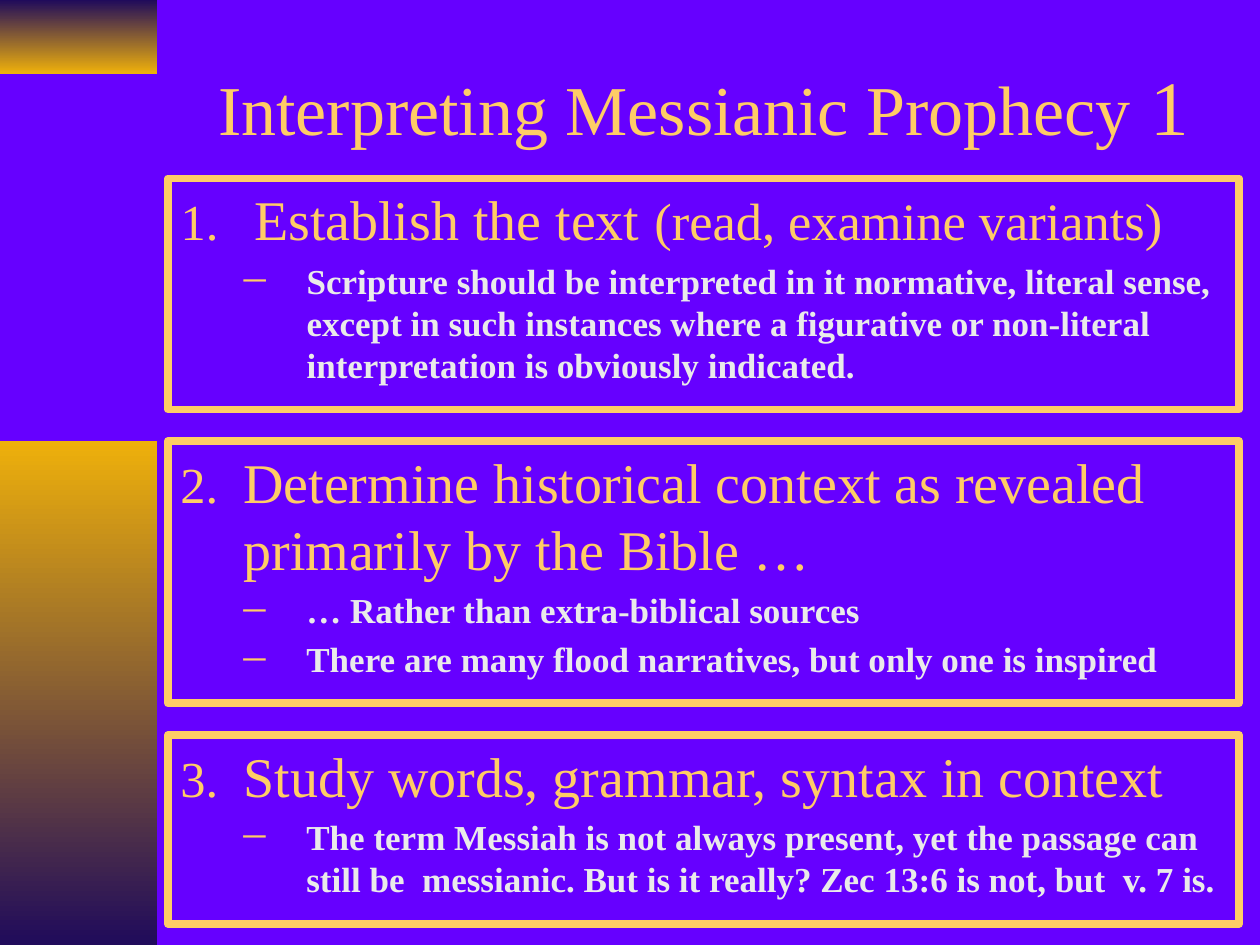
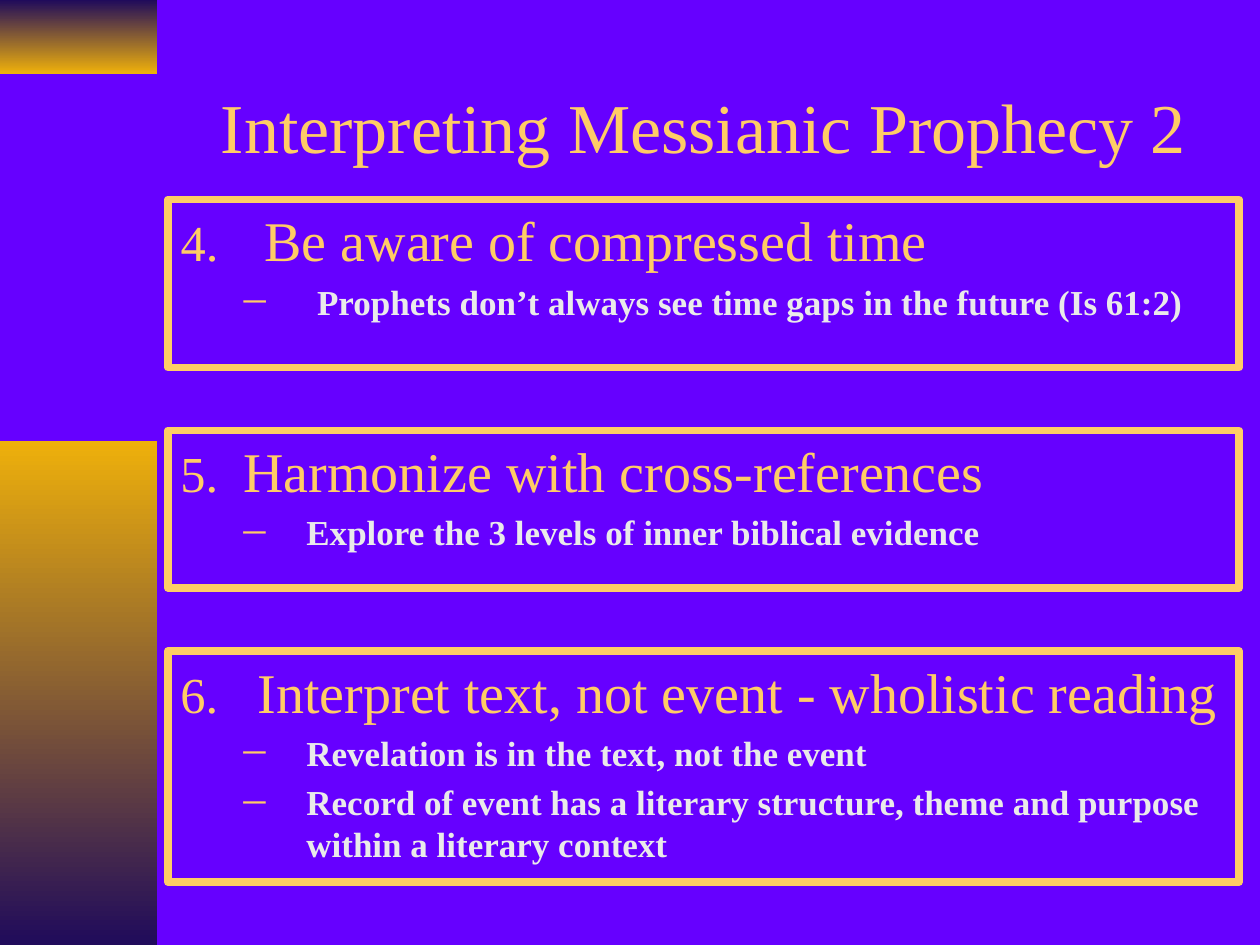
from lxml.etree import SubElement
from pptx import Presentation
from pptx.dml.color import RGBColor
from pptx.enum.shapes import MSO_SHAPE
from pptx.enum.text import MSO_ANCHOR, MSO_AUTO_SIZE, PP_ALIGN
from pptx.oxml.ns import qn
from pptx.util import Emu, Pt

PURPLE = RGBColor(0x66, 0x00, 0xFF)
GOLD = RGBColor(0xFF, 0xCC, 0x66)
AMBER = RGBColor(0xEE, 0xB0, 0x0B)
NAVY = RGBColor(0x20, 0x0B, 0x5B)
PALE = RGBColor(0xEA, 0xEA, 0xEA)

FONT = "Times New Roman"
DASH = "─"
EMU_PER_PX = 9525
LEFT, WIDTH = 128, 816
POINT_SIZE, DETAIL_SIZE = 32, 20


def px(length):
    return Emu(length * EMU_PER_PX)


def place(shape, left, top, width, height):
    shape.left, shape.top = px(left), px(top)
    shape.width, shape.height = px(width), px(height)


class Deck:
    def __init__(self):
        self.presentation = Presentation()
        self.presentation.slide_width = px(960)
        self.presentation.slide_height = px(720)
        background = self.presentation.slide_master.background.fill
        background.solid()
        background.fore_color.rgb = PURPLE
        self.slide = None

    def add_slide(self):
        layout = self.presentation.slide_layouts.get_by_name("Title and Content")
        self.slide = self.presentation.slides.add_slide(layout)
        for placeholder in list(self.slide.placeholders):
            if placeholder.placeholder_format.idx > 1:
                placeholder.element.getparent().remove(placeholder.element)
        self.add_band(0, 56, NAVY, AMBER)
        self.add_band(336, 384, AMBER, NAVY)

    def add_band(self, top, height, top_color, bottom_color):
        band = self.slide.shapes.add_shape(
            MSO_SHAPE.RECTANGLE, px(0), px(top), px(120), px(height))
        band.shadow.inherit = False
        band.line.fill.background()
        band.fill.gradient()
        band.fill.gradient_angle = 270
        for stop, color, position in zip(
                band.fill.gradient_stops, (top_color, bottom_color), (0, 1)):
            stop.color.rgb = color
            stop.position = position

    def add_run(self, paragraph, text, size, color=GOLD, bold=False):
        run = paragraph.add_run()
        run.text = text
        run.font.name = FONT
        run.font.size = Pt(size)
        run.font.color.rgb = color
        run.font.bold = bold

    def set_title(self, height, runs):
        title = self.slide.shapes.title
        place(title, LEFT, 32, WIDTH, height)
        frame = title.text_frame
        frame.auto_size = MSO_AUTO_SIZE.NONE
        frame.vertical_anchor = MSO_ANCHOR.MIDDLE
        paragraph = frame.paragraphs[0]
        paragraph.alignment = PP_ALIGN.CENTER
        for text, size in runs:
            self.add_run(paragraph, text, size)

    def set_bullet(self, paragraph, margin, hanging, number=None):
        """Number the paragraph, or give it a dash when number is None."""
        properties = paragraph._p.get_or_add_pPr()
        properties.set("marL", str(px(margin)))
        properties.set("indent", str(px(-hanging)))
        color = SubElement(properties, qn("a:buClr"))
        SubElement(color, qn("a:srgbClr"), val=str(GOLD))
        SubElement(properties, qn("a:buSzPct"), val="90000")
        SubElement(properties, qn("a:buFont"), typeface=FONT)
        if number is None:
            SubElement(properties, qn("a:buChar"), char=DASH)
        else:
            SubElement(properties, qn("a:buAutoNum"),
                       type="arabicPeriod", startAt=str(number))

    def add_point(self, number, top, height, heading, details,
                  heading_indent=48, detail_hanging=48, in_body=False):
        """Frame one numbered heading with its dashed details."""
        if in_body:
            box = self.slide.placeholders[1]
            place(box, LEFT, top, WIDTH, height)
        else:
            box = self.slide.shapes.add_textbox(
                px(LEFT), px(top), px(WIDTH), px(height))
        box.line.color.rgb = GOLD
        box.line.width = Pt(4.5)
        frame = box.text_frame
        frame.word_wrap = True
        frame.auto_size = MSO_AUTO_SIZE.NONE
        frame.vertical_anchor = MSO_ANCHOR.TOP

        paragraph = frame.paragraphs[0]
        self.set_bullet(paragraph, heading_indent, heading_indent, number)
        paragraph.space_before = Pt(0)
        for text, size in heading:
            self.add_run(paragraph, text, size)
        for detail in details:
            paragraph = frame.add_paragraph()
            paragraph.level = 1
            self.set_bullet(paragraph, 48 + detail_hanging, detail_hanging)
            paragraph.space_before = Pt(DETAIL_SIZE * 0.2)
            self.add_run(paragraph, detail, DETAIL_SIZE, PALE, bold=True)


def build_first_slide(deck):
    deck.add_slide()
    deck.set_title(96, [("Interpreting Messianic Prophecy", 40), (" 1", 44)])
    deck.add_point(
        1, 136, 176,
        [("Establish the text ", POINT_SIZE), ("(read, examine variants)", 30)],
        ["Scripture should be interpreted in it normative, literal sense, "
         "except in such instances where a figurative or non-literal "
         "interpretation is obviously indicated."],
        heading_indent=56, in_body=True)
    deck.add_point(
        2, 336, 200,
        [("Determine historical context as revealed primarily by the Bible …",
          POINT_SIZE)],
        ["… Rather than extra-biblical sources",
         "There are many flood narratives, but only one is inspired"])
    deck.add_point(
        3, 560, 144,
        [("Study words, grammar, syntax in context", POINT_SIZE)],
        ["The term Messiah is not always present, yet the passage can still "
         "be  messianic. But is it really? Zec 13:6 is not, but  v. 7 is."])


def build_second_slide(deck):
    deck.add_slide()
    deck.set_title(127, [("Interpreting Messianic Prophecy 2", 40)])
    deck.add_point(
        4, 152, 128,
        [("Be aware of compressed time", POINT_SIZE)],
        ["Prophets don’t always see time gaps in the future (Is 61:2)"],
        heading_indent=64, detail_hanging=56, in_body=True)
    deck.add_point(
        5, 328, 120,
        [("Harmonize with cross-references", POINT_SIZE)],
        ["Explore the 3 levels of inner biblical evidence"])
    deck.add_point(
        6, 496, 176,
        [("Interpret text, not event - wholistic reading", POINT_SIZE)],
        ["Revelation is in the text, not the event",
         "Record of event has a literary structure, theme and purpose within "
         "a literary context"],
        heading_indent=59)


def main():
    deck = Deck()
    build_first_slide(deck)
    build_second_slide(deck)
    deck.presentation.save("out.pptx")


if __name__ == "__main__":
    main()
